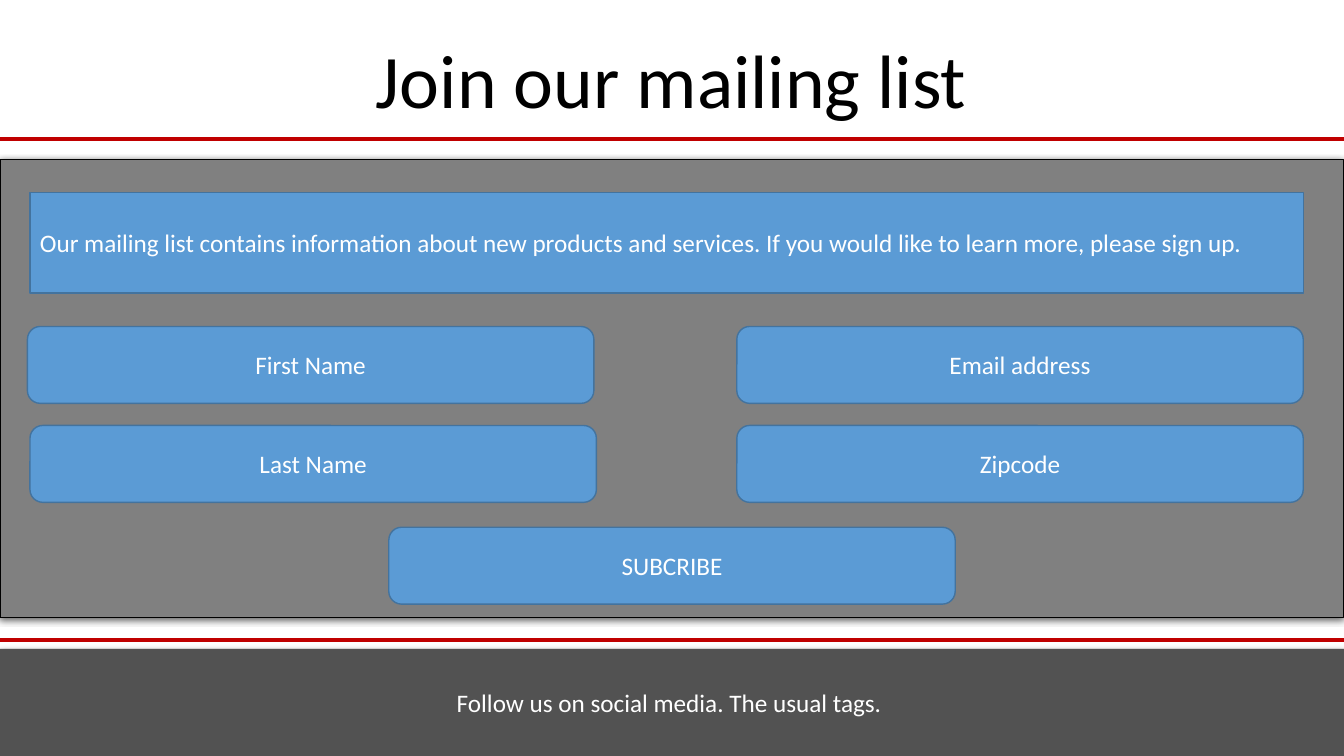
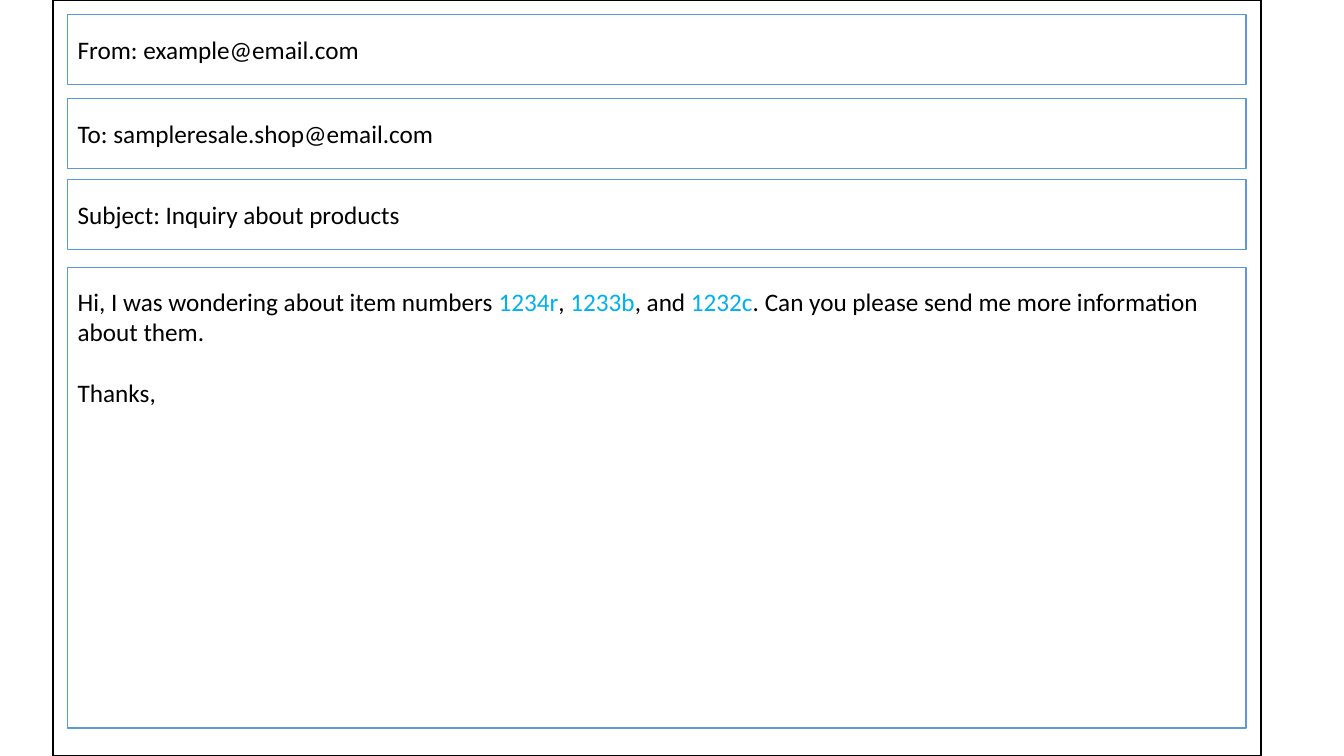
"""Builds a mailing list sign-up page and a product inquiry e-mail."""
from lxml import etree
from pptx import Presentation
from pptx.dml.color import RGBColor
from pptx.enum.shapes import MSO_CONNECTOR, MSO_SHAPE
from pptx.enum.text import MSO_ANCHOR, PP_ALIGN
from pptx.oxml.ns import qn
from pptx.util import Pt

RECT, ROUNDED = MSO_SHAPE.RECTANGLE, MSO_SHAPE.ROUNDED_RECTANGLE
STRAIGHT = MSO_CONNECTOR.STRAIGHT
TOP, MIDDLE = MSO_ANCHOR.TOP, MSO_ANCHOR.MIDDLE
LEFT, CENTER = PP_ALIGN.LEFT, PP_ALIGN.CENTER

WIDTH, HEIGHT = 960, 540
BLACK, WHITE, RED = "000000", "FFFFFF", "C00000"
BLUE, DARK_BLUE, CYAN = "5B9BD5", "43739E", "00B0F0"
GRAY, DARK_GRAY = "808080", "525252"


def rgb(color):
    return RGBColor.from_string(color)


class Deck:
    def __init__(self):
        self.presentation = Presentation()
        self.presentation.slide_width = Pt(WIDTH)
        self.presentation.slide_height = Pt(HEIGHT)
        self.slide = None

    def new_slide(self):
        layout = self.presentation.slide_layouts[6]
        self.slide = self.presentation.slides.add_slide(layout)

    def add_text(self, shape, paragraphs, color, size=18, align=LEFT, gap=0, **frame_format):
        frame = shape.text_frame
        for key, value in ({"word_wrap": True, "vertical_anchor": MIDDLE} | frame_format).items():
            setattr(frame, key, value)
        for index, runs in enumerate(paragraphs):
            paragraph = frame.add_paragraph() if index else frame.paragraphs[0]
            paragraph.alignment = align
            paragraph.space_before = Pt(gap if index else 0)
            for text, accent in runs:
                run = paragraph.add_run()
                run.text = text
                for key, value in {"name": "Calibri", "size": Pt(size)}.items():
                    setattr(run.font, key, value)
                run.font.color.rgb = rgb(accent or color)

    def box(self, bounds, fill, line=None, weight=1, kind=RECT, shadow=False):
        shape = self.slide.shapes.add_shape(kind, *map(Pt, bounds))
        shape.fill.solid()
        shape.fill.fore_color.rgb = rgb(fill)
        if line:
            shape.line.color.rgb = rgb(line)
            shape.line.width = Pt(weight)
        else:
            shape.line.fill.background()
        shape.shadow.inherit = False
        if shadow:
            self.add_shadow(shape)
        return shape

    def add_shadow(self, shape):
        effects = shape.element.spPr.find(qn("a:effectLst"))
        outer = etree.SubElement(effects, qn("a:outerShdw"), blurRad=str(Pt(4.5)),
                                 dist=str(Pt(1.5)), dir="5400000", rotWithShape="0")
        tint = etree.SubElement(outer, qn("a:srgbClr"), val=BLACK)
        etree.SubElement(tint, qn("a:alpha"), val="63000")

    def rule(self, y):
        line = self.slide.shapes.add_connector(STRAIGHT, Pt(0), Pt(y), Pt(WIDTH), Pt(y))
        line.line.color.rgb = rgb(RED)
        line.line.width = Pt(3)
        etree.SubElement(line.element.spPr, qn("a:effectLst"))

    def title(self, text):
        heading = self.slide.shapes.add_textbox(*map(Pt, (259.2, 20.2, 440.6, 72.7)))
        self.add_text(heading, [[(text, None)]], BLACK, 54, CENTER,
                      word_wrap=False, vertical_anchor=TOP)

    def blue_box(self, bounds, text, kind=ROUNDED, align=CENTER):
        self.add_text(self.box(bounds, BLUE, DARK_BLUE, kind=kind),
                      [[(text, None)]], WHITE, align=align)

    def mail_box(self, top, height, paragraphs, **text_format):
        self.add_text(self.box((48.4, top, 841.7, height), WHITE, BLUE),
                      paragraphs, BLACK, **text_format)

    def footer(self, text):
        band = self.box((0, 463.5, WIDTH, HEIGHT - 463.5), DARK_GRAY, shadow=True)
        self.add_text(band, [[(text, None)]], WHITE, align=CENTER)


def build_sign_up(deck):
    deck.new_slide()
    deck.rule(99.4)
    deck.box((0, 113.8, WIDTH, 327.4), GRAY, BLACK, 0.75, shadow=True)
    deck.title("Join our mailing list")
    right_column, first_row, second_row = 526.3, 233.2, 303.9
    for left, top, label in (
        (19.6, first_row, "First Name"),
        (21.4, second_row, "Last Name"),
        (277.7, 376.6, "SUBCRIBE"),
        (right_column, first_row, "Email address"),
        (right_column, second_row, "Zipcode"),
    ):
        deck.blue_box((left, top, 404.6, 54.9), label)
    deck.blue_box((21.4, 137.4, 909.5, 72),
                  "Our mailing list contains information about new products and services. "
                  "If you would like to learn more, please sign up.", RECT, LEFT)
    deck.rule(457.2)
    deck.footer("Follow us on social media. The usual tags. ")


def build_inquiry(deck):
    deck.new_slide()
    deck.box((38, 0, 862.8, HEIGHT), WHITE, BLACK)
    for top, header in (
        (10.5, "From: example@email.com"),
        (70.5, "To: sampleresale.shop@email.com"),
        (128.3, "Subject: Inquiry about products"),
    ):
        deck.mail_box(top, 49.8, [[(header, None)]])
    request = [
        ("Hi, I was wondering about item numbers ", None),
        ("1234r", CYAN), (", ", None), ("1233b", CYAN), (", and ", None), ("1232c", CYAN),
        (". Can you please send me more information about them.", None),
    ]
    deck.mail_box(191, 329, [request, [("Thanks,", None)]], gap=22,
                  vertical_anchor=TOP, margin_top=Pt(13.5))


def main():
    deck = Deck()
    build_sign_up(deck)
    build_inquiry(deck)
    deck.presentation.save("out.pptx")


if __name__ == "__main__":
    main()
